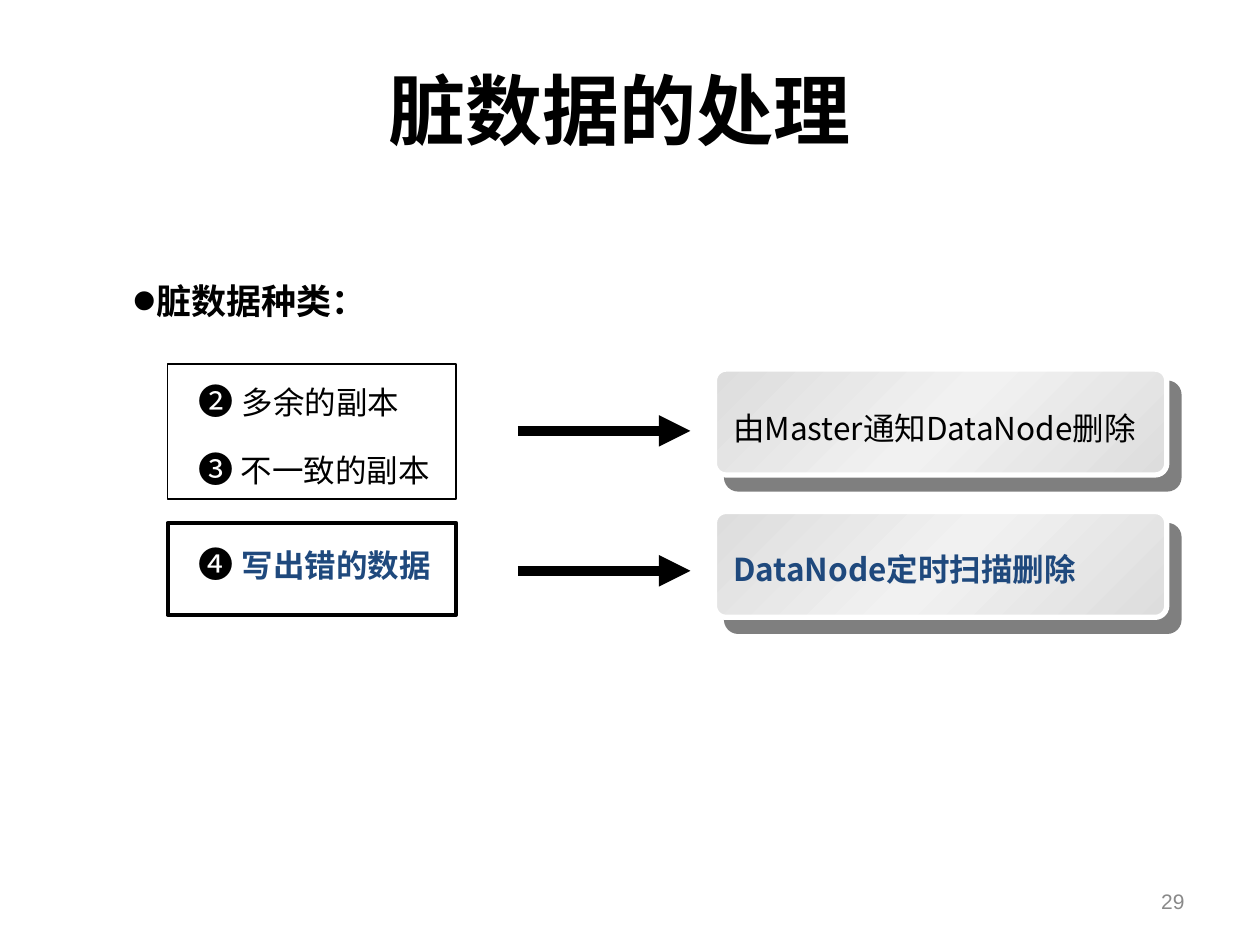
import lxml.etree
import pptx
import pptx.dml.color
import pptx.enum.shapes
import pptx.enum.text
import pptx.oxml
import pptx.oxml.ns
import pptx.util

Pt = pptx.util.Pt
qn = pptx.oxml.ns.qn
ALIGN = pptx.enum.text.PP_ALIGN
ANCHOR = pptx.enum.text.MSO_ANCHOR
SHAPES = pptx.enum.shapes.MSO_SHAPE
CJK = "Noto Sans CJK SC"
NAMESPACE = 'xmlns:a="http://schemas.openxmlformats.org/drawingml/2006/main"'


def color(value):
    return pptx.dml.color.RGBColor.from_string(value)


def add_text(left, top, width, height, runs, align=ALIGN.LEFT, anchor=ANCHOR.TOP, bullet=False):
    shape = slide.shapes.add_textbox(Pt(left), Pt(top), Pt(width), Pt(height))
    shape.text_frame.word_wrap = True
    shape.text_frame.vertical_anchor = anchor
    paragraph = shape.text_frame.paragraphs[0]
    paragraph.alignment = align
    if bullet:
        properties = paragraph._p.get_or_add_pPr()
        for xml in (
            f'<a:buClr {NAMESPACE}><a:srgbClr val="000000"/></a:buClr>',
            f'<a:buSzPct {NAMESPACE} val="200000"/>',
            f'<a:buFont {NAMESPACE} typeface="Arial"/>',
            f'<a:buChar {NAMESPACE} char="•"/>',
        ):
            properties.append(pptx.oxml.parse_xml(xml))
    for text, font_color, formats in runs:
        run = paragraph.add_run()
        run.text = text
        run.font.color.rgb = color(font_color)
        for name, value in formats.items():
            setattr(run.font, name, value)
        east_asian = lxml.etree.SubElement(run._r.get_or_add_rPr(), qn("a:ea"))
        east_asian.set("typeface", CJK)


presentation = pptx.Presentation()
presentation.slide_width = Pt(720)
presentation.slide_height = Pt(540)
slide = presentation.slides.add_slide(presentation.slide_layouts[6])

title_format = {"size": Pt(44), "name": "Calibri", "bold": True}
heading_format = {"size": Pt(20), "name": "Arial", "bold": True}
number_format = {"size": Pt(20), "name": "Arial", "bold": False}
body_format = {"size": Pt(18), "name": CJK, "bold": False}
strong_format = {**body_format, "bold": True}
page_format = {"size": Pt(12), "name": "Arial"}

add_text(30.24, 17.28, 648, 90, [("脏数据的处理", "000000", title_format)], ALIGN.CENTER, ANCHOR.MIDDLE)
add_text(68.4, 156.24, 228.96, 31.68, [("脏数据种类：", "000000", heading_format)], bullet=True)

kinds = [
    (213.12, "❷ ", "多余的副本", "000000", body_format),
    (252, "❸", " 不一致的副本", "000000", body_format),
    (306.72, "❹ ", "写出错的数据", "1F497D", strong_format),
]
for top, number, text, font_color, formats in kinds:
    add_text(106.56, top, 149.04, 31.68, [(number, "000000", number_format), (text, font_color, formats)])

rows = [
    (208.08, 77.04, 0.75, 246.24, 210.96, 230.4, "由Master通知DataNode删除", "000000", body_format),
    (298.8, 52.56, 2.25, 326.16, 292.32, 311.04, "DataNode定时扫描删除", "1F497D", strong_format),
]
for frame_top, frame_height, frame_line, arrow_y, card_top, text_top, text, font_color, formats in rows:
    frame = slide.shapes.add_shape(SHAPES.RECTANGLE, Pt(95.76), Pt(frame_top), Pt(164.88), Pt(frame_height))
    frame.shadow.inherit = False
    frame.fill.background()
    frame.line.color.rgb = color("000000")
    frame.line.width = Pt(frame_line)

    arrow = slide.shapes.add_connector(
        pptx.enum.shapes.MSO_CONNECTOR.STRAIGHT, Pt(295.92), Pt(arrow_y), Pt(394.56), Pt(arrow_y)
    )
    arrow.line.color.rgb = color("000000")
    arrow.line.width = Pt(6)
    lxml.etree.SubElement(arrow.line._get_or_add_ln(), qn("a:tailEnd")).set("type", "triangle")
    lxml.etree.SubElement(arrow._element.spPr, qn("a:effectLst"))

    card = slide.shapes.add_shape(SHAPES.ROUNDED_RECTANGLE, Pt(408.24), Pt(card_top), Pt(258.48), Pt(60.48))
    card.adjustments[0] = 0.11
    card.line.color.rgb = color("FFFFFF")
    card.line.width = Pt(3)
    card.line._get_or_add_ln().addprevious(pptx.oxml.parse_xml(
        f'<a:gradFill {NAMESPACE} rotWithShape="1"><a:gsLst>'
        '<a:gs pos="0"><a:srgbClr val="DDDDDD"/></a:gs>'
        '<a:gs pos="50000"><a:srgbClr val="F1F1F1"/></a:gs>'
        '<a:gs pos="100000"><a:srgbClr val="DDDDDD"/></a:gs>'
        '</a:gsLst><a:lin ang="13500000" scaled="0"/></a:gradFill>'
    ))
    card._element.spPr.append(pptx.oxml.parse_xml(
        f'<a:effectLst {NAMESPACE}><a:outerShdw dist="{Pt(10.6)}" dir="2940000" algn="ctr" rotWithShape="0">'
        '<a:srgbClr val="000000"><a:alpha val="50000"/></a:srgbClr></a:outerShdw></a:effectLst>'
    ))
    add_text(411.84, text_top, 262.8, 28.8, [(text, font_color, formats)])

add_text(516.24, 500.4, 167.76, 28.8, [("29", "898989", page_format)], ALIGN.RIGHT, ANCHOR.MIDDLE)

presentation.save("out.pptx")
